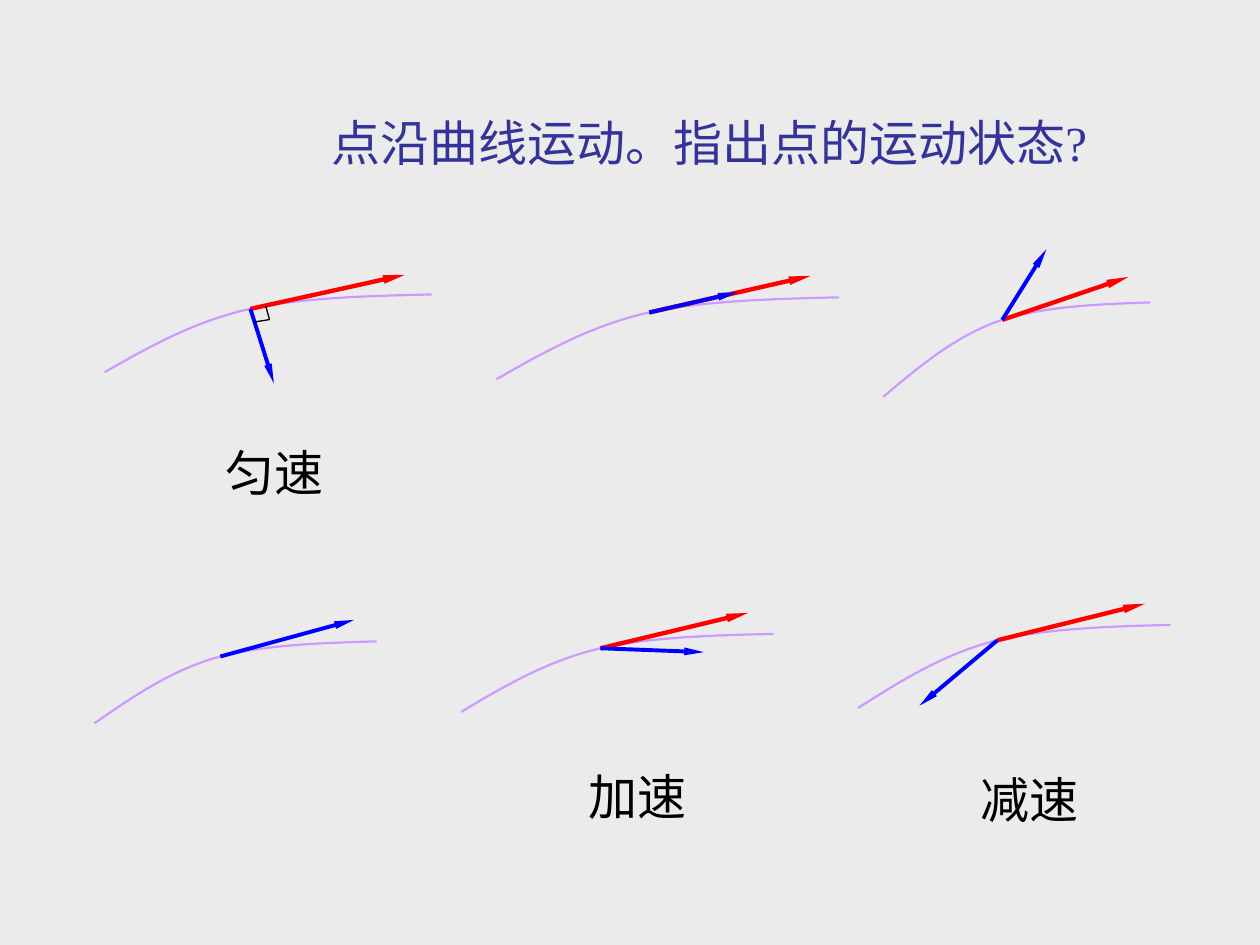
from itertools import pairwise

from lxml import etree
from pptx import Presentation
from pptx import util as u
from pptx.dml.color import RGBColor
from pptx.enum import shapes, text
from pptx.oxml.ns import qn

COLORS = {
    "background": "EBEBEB",
    "title": "333399",
    "label": "000000",
    "path": "CC99FF",
    "velocity": "FF0000",
    "acceleration": "0000FF",
    "angle": "000000",
}
FONT = "Times New Roman"
TITLE = ("点沿曲线运动。指出点的运动状态?", (182.2, 60.5, 443.5, 41))
LABELS = [
    ("匀速", (121.7, 249.1, 102.2, 41)),
    ("加速", (329, 434.2, 97.2, 40.3)),
    ("减速", (553, 436.3, 97.2, 43.2)),
]
# Each case: frame of the path, then the vectors drawn from the moving point.
CASES = [
    {"frame": (59.8, 168.3, 186.8, 44.4), "velocity": (88.3, -19.5),
     "acceleration": (13.4, 42.5), "angle": [(8.7, -1.8), (10.9, 6.1), (2.2, 7.5)]},
    {"frame": (283.7, 169.9, 195.8, 46.8), "velocity": (92.2, -20.9),
     "acceleration": (50.4, -11.5)},
    {"frame": (504.7, 172.8, 152.6, 54), "velocity": (72, -24.5),
     "acceleration": (25.2, -40.3)},
    {"frame": (54, 366.5, 161.3, 46.8), "acceleration": (76.3, -20.9)},
    {"frame": (263.5, 362.2, 178.6, 44.6), "velocity": (84.3, -20.2),
     "acceleration": (59.1, 2.2)},
    {"frame": (490.3, 357.1, 178.6, 47.5), "velocity": (84.3, -20.9),
     "acceleration": (-44.6, 37.4)},
]
# Bezier points and moving point as fractions of a path's frame.
CURVE = [(0, 1), (0.13, 0.69), (0.26, 0.38), (0.42, 0.21),
         (0.59, 0.04), (0.8, 0.02), (1, 0)]
MOVING_POINT = (0.446, 0.185)
WIDTHS = {"velocity": 2.5, "acceleration": 2.25}


def rgb(name):
    return RGBColor.from_string(COLORS[name])


def place(frame, fraction):
    left, top, width, height = frame
    return left + width * fraction[0], top + height * fraction[1]


def draw_path(group, frame):
    """Draw one smooth curve, turning each three segments into a cubic Bezier."""
    points = [tuple(u.Pt(v) for v in place(frame, f)) for f in CURVE]
    builder = group.shapes.build_freeform(*points[0])
    builder.add_line_segments(points[1:], close=False)
    curve = builder.convert_to_shape()
    curve.shadow.inherit = False
    curve.fill.background()
    curve.line.color.rgb = rgb("path")
    curve.line.width = u.Pt(1.25)
    segments = list(curve.element.iter(qn("a:lnTo")))
    for i in range(0, len(segments), 3):
        first, *others = segments[i:i + 3]
        first.tag = qn("a:cubicBezTo")
        for other in others:
            first.append(other[0])
            other.getparent().remove(other)


def draw_line(group, start, end, color, width, arrow=False):
    line = group.shapes.add_connector(
        shapes.MSO_CONNECTOR.STRAIGHT, *(u.Pt(v) for v in (*start, *end)))
    line.line.color.rgb = rgb(color)
    line.line.width = u.Pt(width)
    properties = line.element.spPr
    if arrow:
        etree.SubElement(properties.find(qn("a:ln")), qn("a:tailEnd"),
                         type="triangle", w="sm", len="lg")
    etree.SubElement(properties, qn("a:effectLst"))


def draw_case(page, case):
    group = page.shapes.add_group_shape()
    frame = case["frame"]
    draw_path(group, frame)
    x, y = place(frame, MOVING_POINT)
    for name, width in WIDTHS.items():
        if name in case:
            dx, dy = case[name]
            draw_line(group, (x, y), (x + dx, y + dy), name, width, arrow=True)
    corners = [(x + dx, y + dy) for dx, dy in case.get("angle", [])]
    for start, end in pairwise(corners):
        draw_line(group, start, end, "angle", 0.75)


def fill_box(box, words, frame, color, align, wrap):
    box.left, box.top, box.width, box.height = (u.Pt(v) for v in frame)
    content = box.text_frame
    content.text = words
    content.word_wrap = wrap
    content.auto_size = text.MSO_AUTO_SIZE.NONE
    content.vertical_anchor = text.MSO_ANCHOR.TOP
    para = content.paragraphs[0]
    para.alignment = align
    indents = para._p.get_or_add_pPr()
    indents.set("marL", str(u.Pt(27)))
    indents.set("indent", str(u.Pt(-27)))
    para.font.size = u.Pt(28)
    para.font.name = FONT
    para.font.color.rgb = rgb(color)


def main():
    deck = Presentation()
    deck.slide_width, deck.slide_height = u.Pt(720), u.Pt(540)
    page = deck.slides.add_slide(deck.slide_layouts.get_by_name("Title Only"))
    page.background.fill.solid()
    page.background.fill.fore_color.rgb = rgb("background")

    title = page.shapes.title
    fill_box(title, *TITLE, "title", text.PP_ALIGN.LEFT, False)
    title.text_frame.auto_size = text.MSO_AUTO_SIZE.SHAPE_TO_FIT_TEXT
    for case in CASES:
        draw_case(page, case)
    for words, frame in LABELS:
        box = page.shapes.add_textbox(0, 0, 0, 0)
        fill_box(box, words, frame, "label", text.PP_ALIGN.JUSTIFY, True)
    deck.save("out.pptx")


if __name__ == "__main__":
    main()
